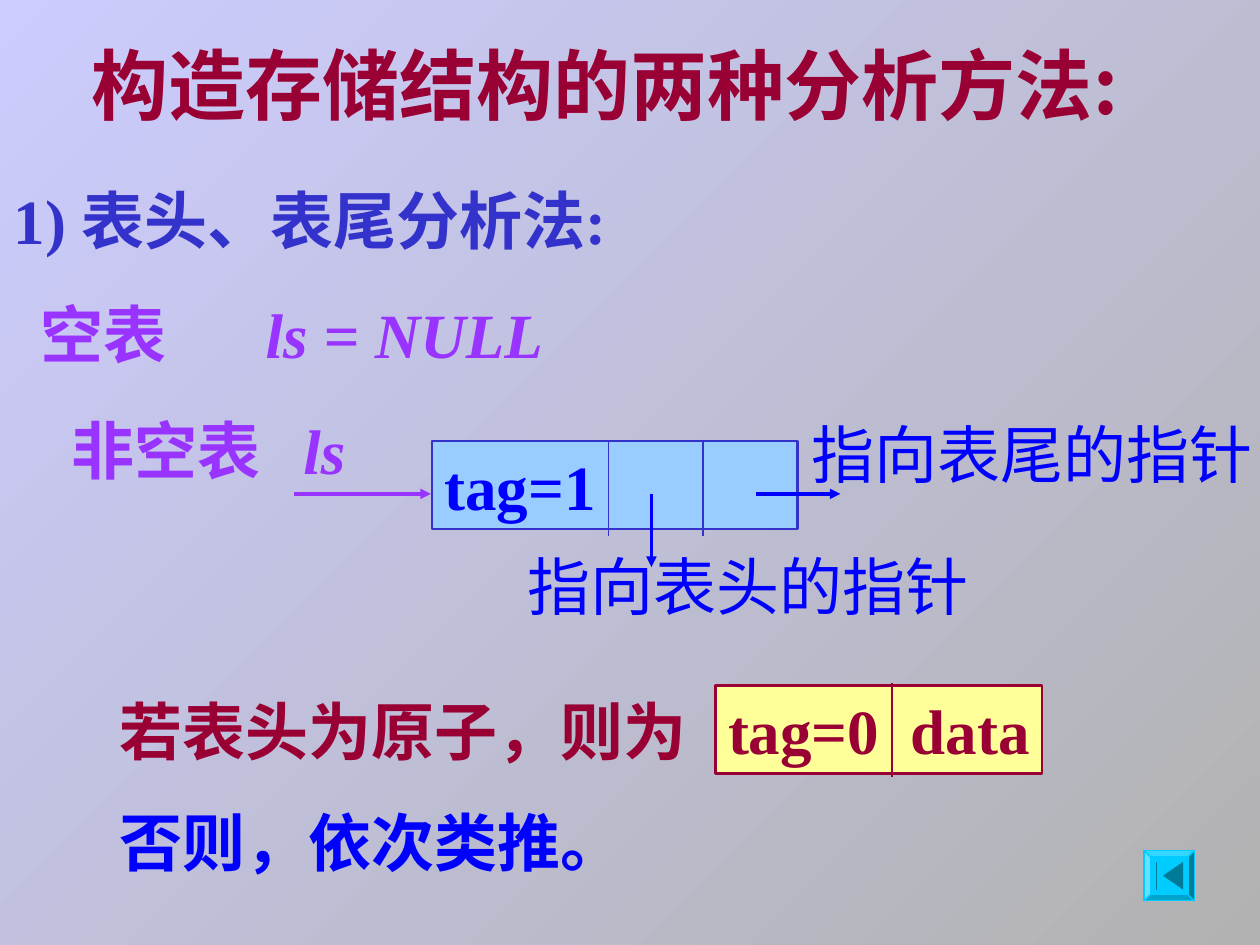
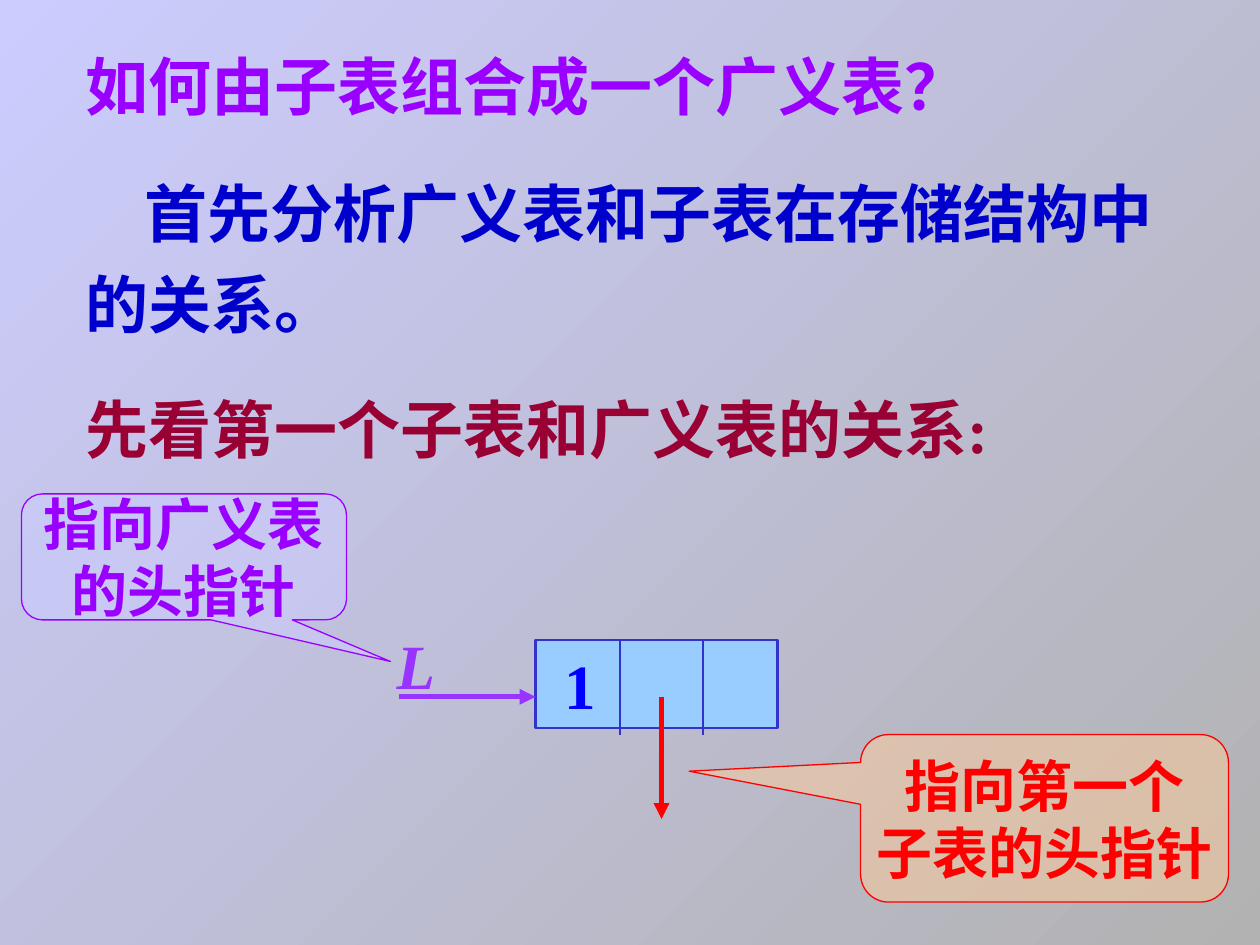
from lxml import etree
from pptx import Presentation
from pptx.dml.color import RGBColor
from pptx.enum.shapes import MSO_CONNECTOR, MSO_SHAPE
from pptx.enum.text import MSO_ANCHOR, MSO_AUTO_SIZE, PP_ALIGN
from pptx.oxml.ns import qn
from pptx.util import Inches, Pt

STRAIGHT = MSO_CONNECTOR.STRAIGHT
RECTANGLE = MSO_SHAPE.RECTANGLE
BEVEL = MSO_SHAPE.BEVEL
CALLOUT = MSO_SHAPE.ROUNDED_RECTANGULAR_CALLOUT
TOP, MIDDLE = MSO_ANCHOR.TOP, MSO_ANCHOR.MIDDLE
GROW = MSO_AUTO_SIZE.SHAPE_TO_FIT_TEXT
LEFT, CENTER = PP_ALIGN.LEFT, PP_ALIGN.CENTER

GRAY = RGBColor(0xB2, 0xB2, 0xB2)
LAVENDER = RGBColor(0xCC, 0xCC, 0xFF)
MAROON = RGBColor(0x99, 0x00, 0x33)
INDIGO = RGBColor(0x33, 0x33, 0xCC)
NAVY = RGBColor(0x00, 0x00, 0xCC)
BLUE = RGBColor(0x00, 0x00, 0xFF)
SKY = RGBColor(0x99, 0xCC, 0xFF)
PURPLE = RGBColor(0x99, 0x33, 0xFF)
VIOLET = RGBColor(0x99, 0x00, 0xFF)
YELLOW = RGBColor(0xFF, 0xFF, 0x99)
PEACH = RGBColor(0xFF, 0xCC, 0x99)
RED = RGBColor(0xFF, 0x00, 0x00)
CYAN = RGBColor(0x00, 0xCC, 0xFF)
TEAL = RGBColor(0x00, 0x7A, 0x99)

SERIF, SANS = "Times New Roman", "Noto Sans CJK SC"
NODE_HEIGHT, DIVIDER_LENGTH = 0.7, 0.75

ANALYSIS = {
    "texts": [
        dict(box=(0.01, 1.33, 5.14, 0.76), text="1) 表头、表尾分析法:", color=INDIGO, spacing=1.1),
        dict(box=(0.63, 0.25, 8.6, 0.84), text="构造存储结构的两种分析方法:", color=MAROON, font=SANS, size=44),
        dict(box=(0.85, 5.39, 4.7, 0.76), text="若表头为原子，则为", color=MAROON, font=SANS, spacing=1.1),
        dict(box=(0.22, 2.3, 5.02, 0.7), text="空表\t", italic_tail="ls = NULL", color=PURPLE, tab=1.79, wrap=True),
        dict(box=(0.47, 3.22, 2.65, 0.7), text="非空表\t", italic_tail="ls", color=PURPLE, tab=1.84, wrap=True),
        dict(box=(4.09, 4.3, 3.7, 0.7), text="指向表头的指针", color=BLUE, bold=False),
        dict(box=(6.34, 3.25, 3.7, 0.7), text="指向表尾的指针", color=BLUE, bold=False),
        dict(box=(0.85, 6.33, 4.2, 0.7), text="否则，依次类推。", color=BLUE, font=SANS),
    ],
    "nodes": [
        dict(at=(3.43, 3.5), width=2.9, text="tag=1", dividers=(4.83, 5.58), divider_top=3.5,
             fill=SKY, line=INDIGO, color=BLUE),
        dict(at=(5.68, 5.44), width=2.59, text="tag=0\tdata", dividers=(7.08,), divider_top=5.42,
             fill=YELLOW, line=MAROON, color=MAROON, tab=1.45),
    ],
    "arrows": [
        ((2.33, 3.92), (3.42, 3.92), PURPLE, 2),
        ((5.17, 3.92), (5.17, 4.5), BLUE, 2),
        ((6, 3.92), (6.67, 3.92), BLUE, 2),
    ],
    "callouts": [],
}

COMPOSITION = {
    "texts": [
        dict(box=(0.58, 0.33, 8.89, 0.7), text="如何由子表组合成一个广义表？", color=VIOLET, wrap=True),
        dict(box=(0.58, 1.22, 8.89, 1.54), text="首先分析广义表和子表在存储结构中的关系。",
             color=NAVY, wrap=True, spacing=1.2, indent=0.47),
        dict(box=(0.58, 3.05, 8.89, 0.7), text="先看第一个子表和广义表的关系:", color=MAROON, wrap=True),
        dict(box=(3.05, 4.92, 0.5, 0.7), text="", italic_tail="L", color=PURPLE),
    ],
    "nodes": [
        dict(at=(4.25, 5.08), width=1.92, text="1", dividers=(4.92, 5.58), divider_top=5.08,
             fill=SKY, line=INDIGO, color=BLUE, indent=0.13),
    ],
    "arrows": [
        ((3.17, 5.53), (4.25, 5.53), PURPLE, 3),
        ((5.25, 5.53), (5.25, 6.5), RED, 3),
    ],
    "callouts": [
        dict(box=(0.17, 3.92, 2.58, 1), lines=("指向广义表", "的头指针"),
             pointer=(0.635, 0.83), fill=LAVENDER, color=VIOLET),
        dict(box=(6.83, 5.83, 2.92, 1.33), lines=("指向第一个", "子表的头指针"),
             pointer=(-0.966, -0.281), fill=PEACH, color=RED),
    ],
}


def style_run(run, color, size=36, font=SERIF, bold=True, italic=False):
    run.font.name = font
    run.font.size = Pt(size)
    run.font.bold = bold
    run.font.italic = italic
    run.font.color.rgb = color
    east_asian = etree.SubElement(run.font._element, qn("a:ea"))
    east_asian.set("typeface", SANS)


def setup_frame(text_frame, wrap, anchor=TOP):
    text_frame.word_wrap = wrap
    text_frame.vertical_anchor = anchor
    text_frame.margin_left = text_frame.margin_right = Inches(0.1)
    text_frame.margin_top = text_frame.margin_bottom = Inches(0.05)


def write_line(paragraph, text, color, italic_tail="", tab=None, indent=None,
               spacing=None, align=LEFT, **style):
    paragraph.text = ""
    for part, italic in ((text, False), (italic_tail, True)):
        if part:
            run = paragraph.add_run()
            run.text = part
            style_run(run, color, italic=italic, **style)
    paragraph.alignment = align
    properties = paragraph._p.get_or_add_pPr()
    if indent:
        properties.set("indent", str(Inches(indent)))
    if tab:
        tab_list = etree.SubElement(properties, qn("a:tabLst"))
        etree.SubElement(tab_list, qn("a:tab"), pos=str(Inches(tab)), algn="l")
    if spacing:
        paragraph.line_spacing = spacing


def add_text(slide, box, wrap=False, **content):
    text_frame = slide.shapes.add_textbox(*map(Inches, box)).text_frame
    setup_frame(text_frame, wrap)
    text_frame.auto_size = GROW
    write_line(text_frame.paragraphs[0], **content)


def add_box(slide, kind, box, fill, line, width=0.75):
    shape = slide.shapes.add_shape(kind, *map(Inches, box))
    shape.shadow.inherit = False
    shape.fill.solid()
    shape.fill.fore_color.rgb = fill
    shape.line.color.rgb = line
    shape.line.width = Pt(width)
    return shape


def add_line(slide, start, end, color, width=0.75, arrow=False):
    connector = slide.shapes.add_connector(STRAIGHT, *map(Inches, (*start, *end)))
    connector.line.color.rgb = color
    connector.line.width = Pt(width)
    if arrow:
        etree.SubElement(connector.line._get_or_add_ln(), qn("a:tailEnd"), type="triangle")
    etree.SubElement(connector._element.spPr, qn("a:effectLst"))


def add_node(slide, at, width, dividers, divider_top, fill, line, **content):
    shape = add_box(slide, RECTANGLE, (*at, width, NODE_HEIGHT), fill, line, 1.5)
    setup_frame(shape.text_frame, True)
    shape.text_frame.margin_right = 0
    write_line(shape.text_frame.paragraphs[0], **content)
    for x in dividers:
        add_line(slide, (x, divider_top), (x, divider_top + DIVIDER_LENGTH), line)


def add_callout(slide, box, lines, pointer, fill, color):
    shape = add_box(slide, CALLOUT, box, fill, color)
    for index, value in enumerate((*pointer, 0.167)):
        shape.adjustments[index] = value
    fill_color = shape._element.spPr.find(qn("a:solidFill"))[0]
    etree.SubElement(fill_color, qn("a:alpha"), val="50000")
    text_frame = shape.text_frame
    setup_frame(text_frame, False, MIDDLE)
    text_frame.text = "\n".join(lines)
    for paragraph, text in zip(text_frame.paragraphs, lines):
        write_line(paragraph, text, color, size=32, align=CENTER)


def add_return_button(slide, left=9.08, top=6.75, side=0.4):
    add_box(slide, BEVEL, (left, top, side, side), CYAN, CYAN)
    upper, middle, lower = top + 0.09, top + 0.2, top + 0.31
    add_line(slide, (left + 0.1, upper), (left + 0.1, lower), TEAL)
    builder = slide.shapes.build_freeform(Inches(left + 0.15), Inches(middle))
    builder.add_line_segments([(Inches(left + 0.31), Inches(y)) for y in (upper, lower)])
    triangle = builder.convert_to_shape()
    triangle.shadow.inherit = False
    triangle.fill.solid()
    triangle.fill.fore_color.rgb = TEAL
    triangle.line.fill.background()


def add_slide(presentation, content):
    slide = presentation.slides.add_slide(presentation.slide_layouts[6])
    background = slide.background.fill
    background.gradient()
    background.gradient_angle = 135
    for stop, color in zip(background.gradient_stops, (GRAY, LAVENDER)):
        stop.color.rgb = color
    for node in content["nodes"]:
        add_node(slide, **node)
    for start, end, color, width in content["arrows"]:
        add_line(slide, start, end, color, width, arrow=True)
    for text in content["texts"]:
        add_text(slide, **text)
    for callout in content["callouts"]:
        add_callout(slide, **callout)
    return slide


def main():
    presentation = Presentation()
    presentation.slide_width = Inches(10)
    presentation.slide_height = Inches(7.5)
    add_return_button(add_slide(presentation, ANALYSIS))
    add_slide(presentation, COMPOSITION)
    presentation.save("out.pptx")


if __name__ == "__main__":
    main()
